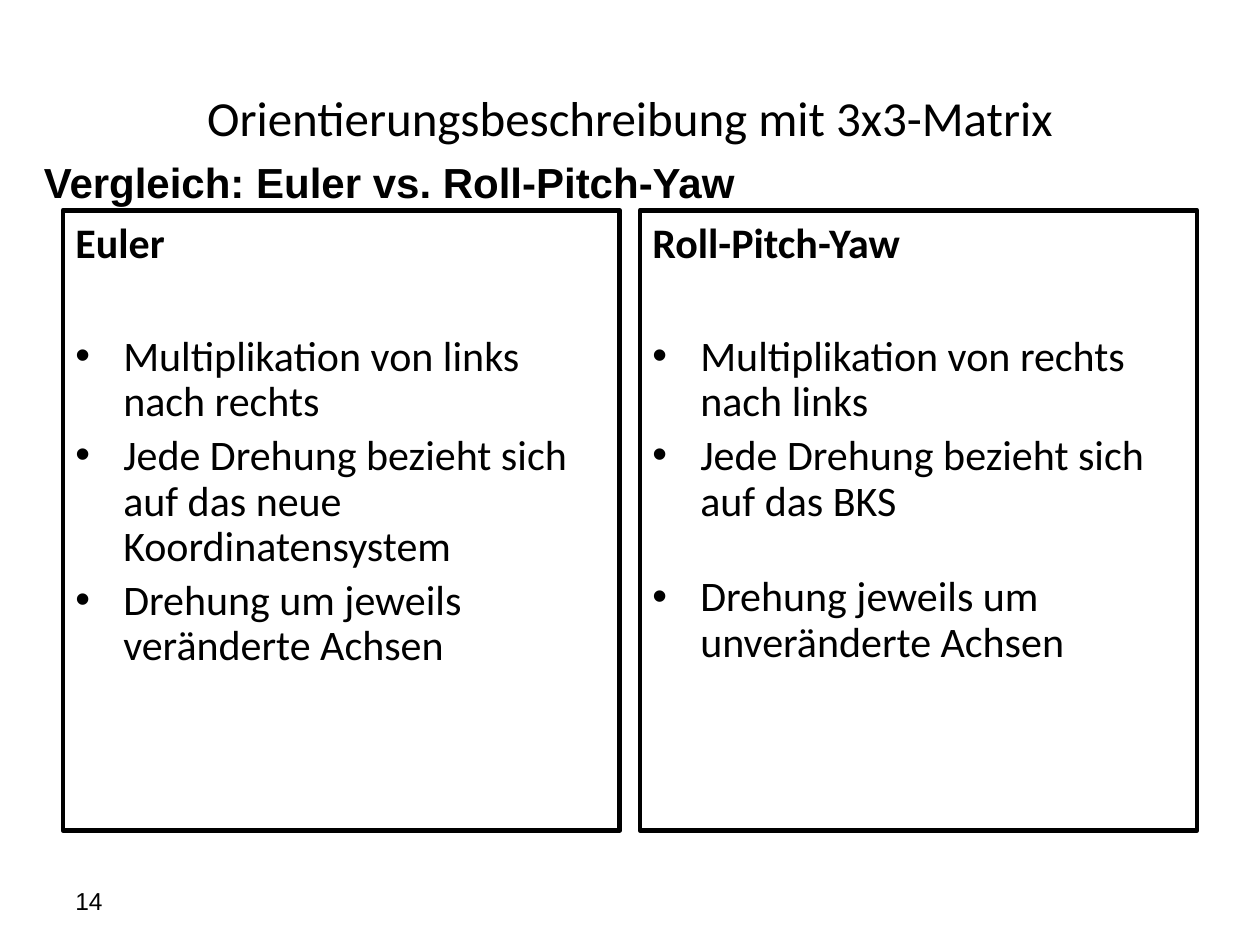
from lxml import etree
from pptx import Presentation
from pptx.dml.color import RGBColor
from pptx.enum.shapes import MSO_SHAPE
from pptx.enum.text import MSO_ANCHOR, PP_ALIGN
from pptx.oxml.ns import qn
from pptx.util import Inches, Pt

RECTANGLE = MSO_SHAPE.RECTANGLE
TOP, MIDDLE = MSO_ANCHOR.TOP, MSO_ANCHOR.MIDDLE
LEFT, CENTER = PP_ALIGN.LEFT, PP_ALIGN.CENTER
COLORS = {"ink": "000000", "paper": "FFFFFF"}
INK = RGBColor.from_string(COLORS["ink"])
HANGING_INDENT = Inches(0.38)
SPACE_BEFORE = 4.8
HEADING_GAP = 39

MARGIN = 0.5
PANEL_TOP, PANEL_WIDTH, PANEL_HEIGHT, PANEL_GAP = 1.67, 4.42, 4.92, 0.16
# Each bullet comes with the space after it, in points.
PANELS = [
    ("Euler", [
        ("Multiplikation von links nach rechts", 0),
        ("Jede Drehung bezieht sich auf das neue Koordinatensystem", 0),
        ("Drehung um jeweils veränderte Achsen", 0),
    ]),
    ("Roll-Pitch-Yaw", [
        ("Multiplikation von rechts nach links", 0),
        ("Jede Drehung bezieht sich auf das BKS", 24),
        ("Drehung jeweils um unveränderte Achsen", 0),
    ]),
]


def add_text(frame, text, font="Calibri", size=24, bold=False, align=LEFT,
             anchor=TOP, spacing=1.0, before=0, after=0, hanging=False, bullet=False):
    """Fill the frame's empty first paragraph, or append a new one."""
    frame.word_wrap = True
    frame.vertical_anchor = anchor
    para = frame.paragraphs[0] if not frame.text else frame.add_paragraph()
    para.alignment = align
    para.line_spacing = spacing
    para.space_before, para.space_after = Pt(before), Pt(after)
    properties = para._p.get_or_add_pPr()
    if hanging:
        properties.set("marL", str(HANGING_INDENT))
        properties.set("indent", str(-HANGING_INDENT))
    if bullet:
        etree.SubElement(properties, qn("a:buFont")).set("typeface", "Arial")
        etree.SubElement(properties, qn("a:buChar")).set("char", "•")
    span = para.add_run()
    span.text = text
    span.font.name, span.font.size, span.font.bold = font, Pt(size), bold
    span.font.color.rgb = INK


deck = Presentation()
deck.slide_width, deck.slide_height = Inches(10), Inches(7.5)
page = deck.slides.add_slide(deck.slide_layouts[6])
page.background.fill.solid()
page.background.fill.fore_color.rgb = RGBColor.from_string(COLORS["paper"])

for column, (heading, bullets) in enumerate(PANELS):
    left = MARGIN + column * (PANEL_WIDTH + PANEL_GAP)
    panel = page.shapes.add_shape(
        RECTANGLE, Inches(left), Inches(PANEL_TOP), Inches(PANEL_WIDTH), Inches(PANEL_HEIGHT))
    panel.shadow.inherit = False
    panel.fill.background()
    panel.line.color.rgb = INK
    panel.line.width = Pt(2.75)
    add_text(panel.text_frame, heading, bold=True, before=SPACE_BEFORE, hanging=True)
    for row, (text, after) in enumerate(bullets):
        add_text(panel.text_frame, text, spacing=0.9, after=after, hanging=True, bullet=True,
                 before=SPACE_BEFORE if row else HEADING_GAP)

LABELS = [
    ("14", (MARGIN, 6.95, 2.33, 0.4), dict(font="Arial", size=14, anchor=MIDDLE)),
    ("Orientierungsbeschreibung mit 3x3-Matrix", (MARGIN, 0.3, 9, 1.25),
     dict(size=28, align=CENTER, anchor=MIDDLE)),
    ("Vergleich: Euler vs. Roll-Pitch-Yaw", (0.25, 1.15, 9.5, 5.83),
     dict(font="Arial", bold=True, spacing=1.1, before=SPACE_BEFORE, hanging=True)),
]
for text, place, style in LABELS:
    box = page.shapes.add_textbox(*map(Inches, place))
    add_text(box.text_frame, text, **style)

deck.save("out.pptx")
